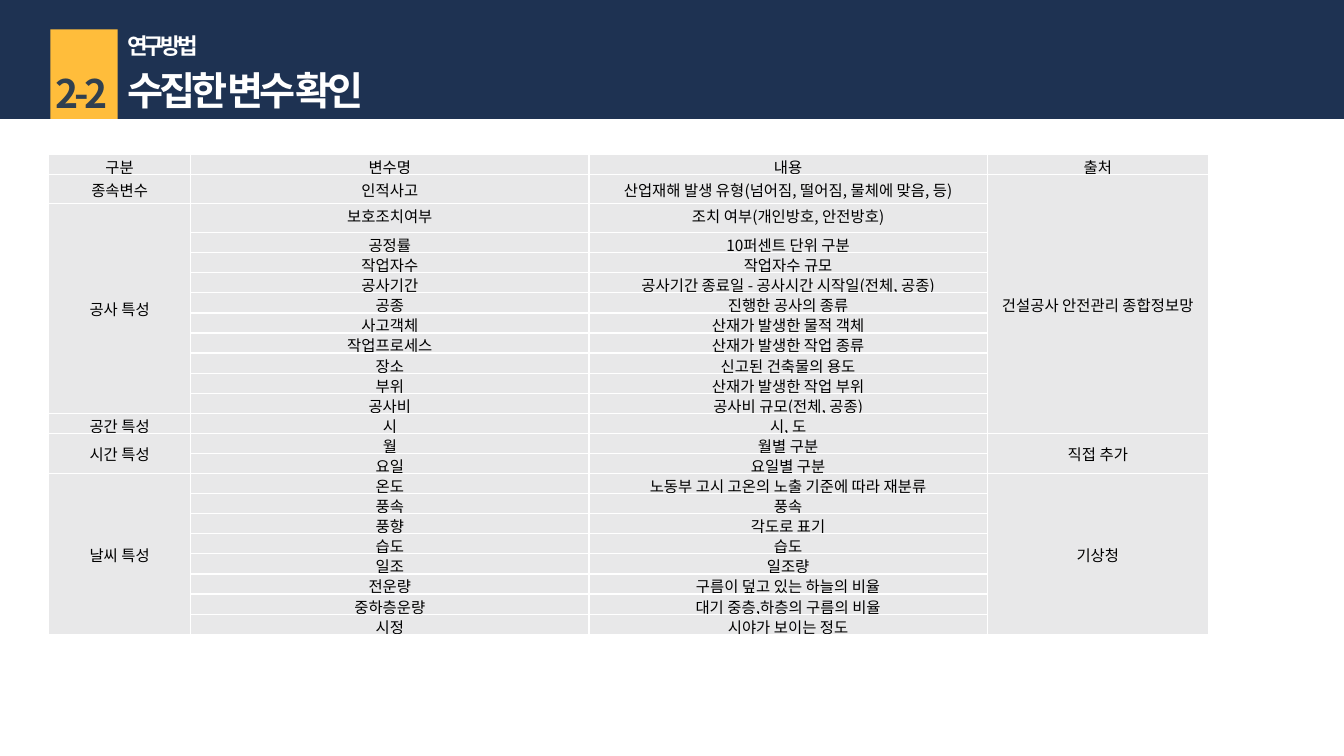
from dataclasses import dataclass

from lxml.etree import SubElement
from pptx import Presentation
from pptx.dml.color import RGBColor
from pptx.enum.shapes import MSO_SHAPE
from pptx.enum.text import MSO_ANCHOR, MSO_AUTO_SIZE, PP_ALIGN
from pptx.oxml.ns import qn
from pptx.util import Pt


@dataclass(frozen=True)
class Theme:
    font: str = "Noto Sans CJK KR"
    navy: str = "1E3252"
    amber: str = "FFBD3B"
    slate: str = "30404F"
    white: str = "FFFFFF"
    black: str = "000000"
    cell: str = "E8E8E9"
    title_size: float = 28
    subtitle_size: float = 16
    table_size: float = 11
    tracking: float = -3
    border: float = 1
    cell_margin: float = 0.72


HEADER = ["구분", "변수명", "내용", "출처"]
VARIABLES = [
    ("인적사고", "산업재해 발생 유형(넘어짐, 떨어짐, 물체에 맞음, 등)"),
    ("보호조치여부", "조치 여부(개인방호, 안전방호)"),
    ("공정률", "10퍼센트 단위 구분"),
    ("작업자수", "작업자수 규모"),
    ("공사기간", "공사기간 종료일 - 공사시간 시작일(전체, 공종)"),
    ("공종", "진행한 공사의 종류"),
    ("사고객체", "산재가 발생한 물적 객체"),
    ("작업프로세스", "산재가 발생한 작업 종류"),
    ("장소", "신고된 건축물의 용도"),
    ("부위", "산재가 발생한 작업 부위"),
    ("공사비", "공사비 규모(전체, 공종)"),
    ("시", "시, 도"),
    ("월", "월별 구분"),
    ("요일", "요일별 구분"),
    ("온도", "노동부 고시 고온의 노출 기준에 따라 재분류"),
    ("풍속", "풍속"),
    ("풍향", "각도로 표기"),
    ("습도", "습도"),
    ("일조", "일조량"),
    ("전운량", "구름이 덮고 있는 하늘의 비율"),
    ("중하층운량", "대기 중층,하층의 구름의 비율"),
    ("시정", "시야가 보이는 정도"),
]
CATEGORIES = [("종속변수", 1), ("공사 특성", 10), ("공간 특성", 1), ("시간 특성", 2), ("날씨 특성", 8)]
SOURCES = [("건설공사 안전관리 종합정보망", 12), ("직접 추가", 2), ("기상청", 8)]
COLUMN_WIDTHS = [101.5, 284.5, 284.5, 158]
ROW_HEIGHTS = [14.35, 20.7, 20.7] + [14.35] * 20
FIRST_TIME_ROW = 13


class SlideBuilder:
    """Adds styled elements to the current slide."""

    def __init__(self, slide, theme):
        self.slide = slide
        self.theme = theme

    def style(self, paragraph, size, color, align, bold=False, tracking=0):
        paragraph.alignment = align
        for run in paragraph.runs:
            run.font.size = Pt(size)
            run.font.bold = bold
            run.font.name = self.theme.font
            run.font.color.rgb = RGBColor.from_string(color)
            properties = run.font._element
            SubElement(properties, qn("a:ea"), typeface=self.theme.font)
            if tracking:
                properties.set("spc", str(round(tracking * 100)))

    def rectangle(self, left, top, width, height, color):
        shape = self.slide.shapes.add_shape(
            MSO_SHAPE.RECTANGLE, Pt(left), Pt(top), Pt(width), Pt(height))
        shape.shadow.inherit = False
        shape.fill.solid()
        shape.fill.fore_color.rgb = RGBColor.from_string(color)
        shape.line.fill.background()

    def heading(self, text, left, top, width, height, size, color, align=PP_ALIGN.LEFT):
        box = self.slide.shapes.add_textbox(Pt(left), Pt(top), Pt(width), Pt(height))
        frame = box.text_frame
        frame.word_wrap = True
        frame.auto_size = MSO_AUTO_SIZE.SHAPE_TO_FIT_TEXT
        frame.text = text
        self.style(frame.paragraphs[0], size, color, align, True, self.theme.tracking)

    def cell_frame(self, cell):
        theme = self.theme
        cell.margin_left = cell.margin_right = cell.margin_top = Pt(theme.cell_margin)
        cell.margin_bottom = Pt(0)
        properties = cell._tc.get_or_add_tcPr()
        for side in ("lnL", "lnR", "lnT", "lnB"):
            line = SubElement(properties, qn(f"a:{side}"), w=str(Pt(theme.border)))
            fill = SubElement(line, qn("a:solidFill"))
            SubElement(fill, qn("a:srgbClr"), val=theme.white)
        cell.fill.solid()
        cell.fill.fore_color.rgb = RGBColor.from_string(theme.cell)

    def cell_text(self, cell, text, anchor=MSO_ANCHOR.MIDDLE):
        cell.vertical_anchor = anchor
        cell.text_frame.text = text
        self.style(cell.text_frame.paragraphs[0], self.theme.table_size,
                   self.theme.black, PP_ALIGN.CENTER)

    def merged_column(self, table, column, groups):
        row = 1
        for text, span in groups:
            cell = table.cell(row, column)
            if span > 1:
                cell.merge(table.cell(row + span - 1, column))
            self.cell_text(cell, text)
            row += span

    def variable_table(self, left, top):
        table = self.slide.shapes.add_table(
            len(ROW_HEIGHTS), len(COLUMN_WIDTHS), Pt(left), Pt(top),
            Pt(sum(COLUMN_WIDTHS)), Pt(sum(ROW_HEIGHTS))).table
        table.first_row = table.horz_banding = False
        for column, width in zip(table.columns, COLUMN_WIDTHS):
            column.width = Pt(width)
        for row, height in zip(table.rows, ROW_HEIGHTS):
            row.height = Pt(height)
        for cell in table.iter_cells():
            self.cell_frame(cell)
        for column, text in enumerate(HEADER):
            self.cell_text(table.cell(0, column), text)
        for row, (name, content) in enumerate(VARIABLES, 1):
            content_anchor = MSO_ANCHOR.MIDDLE if row == 1 else MSO_ANCHOR.TOP
            name_anchor = MSO_ANCHOR.MIDDLE if row >= FIRST_TIME_ROW else content_anchor
            self.cell_text(table.cell(row, 1), name, name_anchor)
            self.cell_text(table.cell(row, 2), content, content_anchor)
        self.merged_column(table, 0, CATEGORIES)
        self.merged_column(table, 3, SOURCES)


def main():
    theme = Theme()
    presentation = Presentation()
    presentation.slide_width = Pt(960)
    presentation.slide_height = Pt(540)
    slide = presentation.slides.add_slide(presentation.slide_layouts[6])
    builder = SlideBuilder(slide, theme)
    builder.rectangle(0, 0, 960, 85, theme.navy)
    builder.rectangle(36, 21, 48, 64, theme.amber)
    builder.heading("수집한 변수 확인", 84, 44, 551.5, 41, theme.title_size, theme.white)
    builder.heading("연구 방법", 84, 19.5, 396, 26.5, theme.subtitle_size, theme.white)
    builder.heading("2-2", 27.5, 46, 62, 41, theme.title_size, theme.slate, PP_ALIGN.CENTER)
    builder.variable_table(34.75, 110.4)
    presentation.save("out.pptx")


if __name__ == "__main__":
    main()
